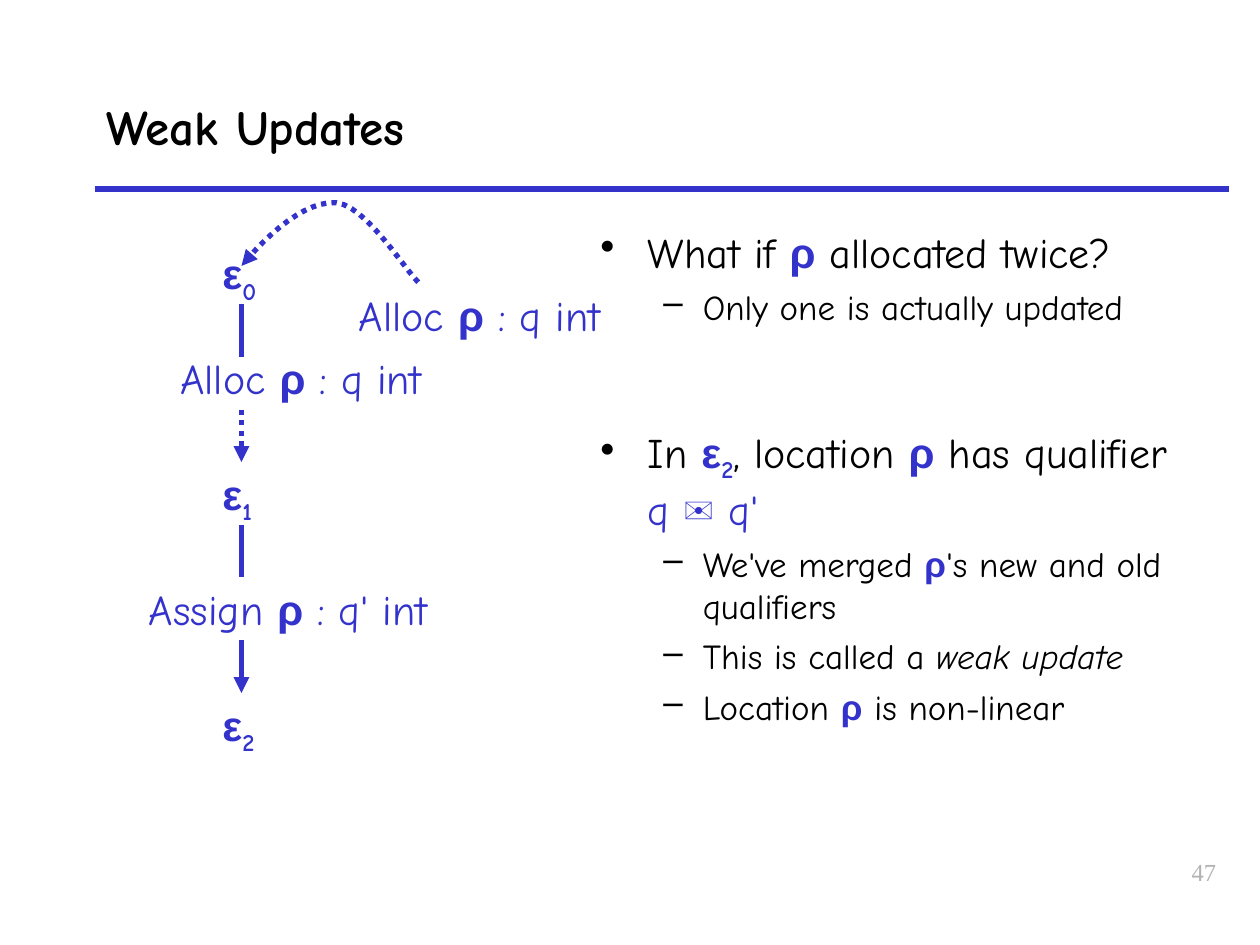
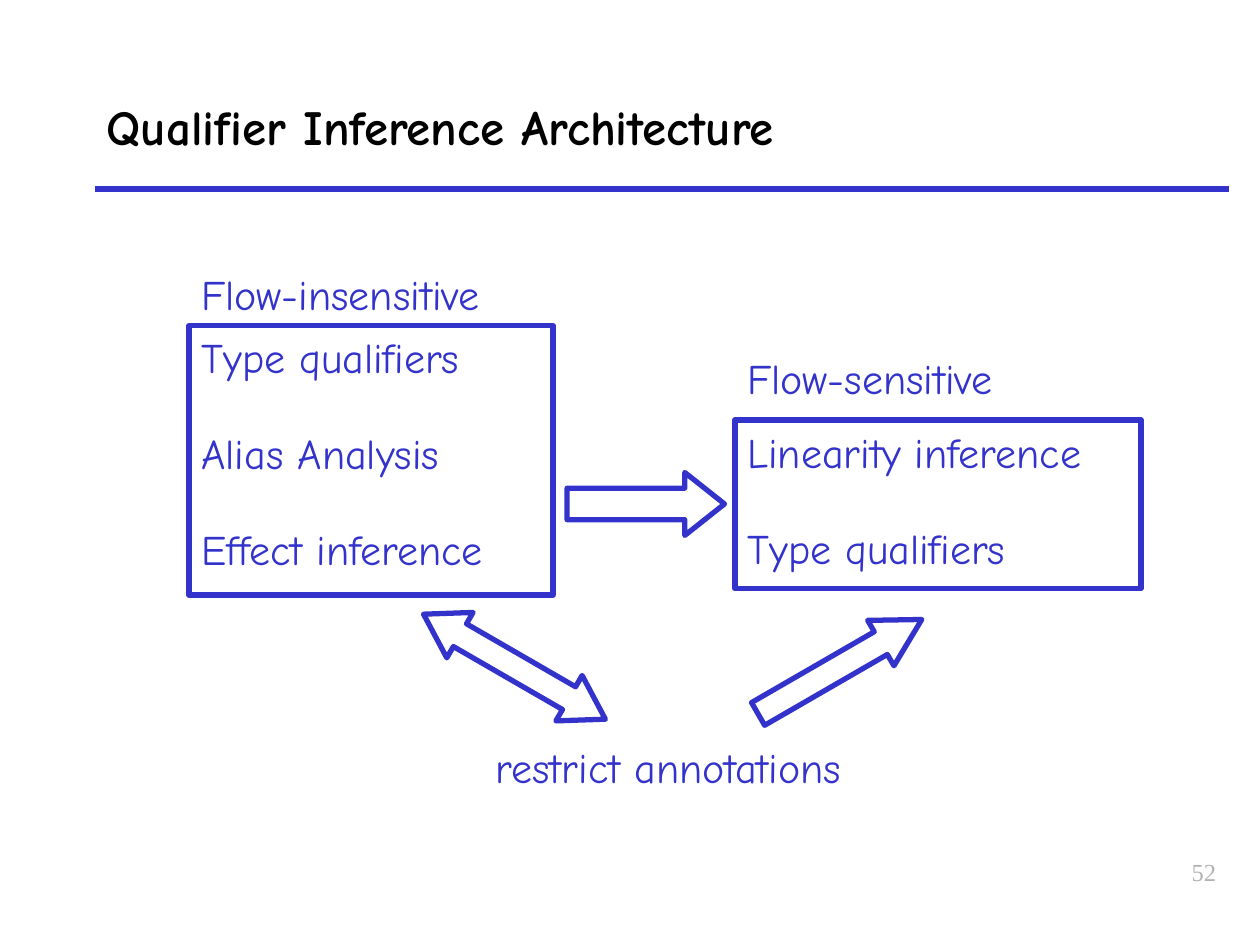
"""Build two slides on weak updates and qualifier inference."""
from dataclasses import dataclass
from typing import NamedTuple

from lxml.etree import SubElement
from pptx import Presentation
from pptx.dml.color import RGBColor
from pptx.enum.dml import MSO_LINE
from pptx.enum.shapes import MSO_CONNECTOR, MSO_SHAPE
from pptx.enum.text import MSO_ANCHOR, PP_ALIGN
from pptx.oxml.ns import qn
from pptx.slide import Slide
from pptx.text.text import TextFrame
from pptx.util import Pt

HUES = {"ink": "000000", "blue": "3333CC", "grey": "B2B2B2"}
SANS = "Comic Neue"
FORMS = {
    "ink": {"name": SANS, "bold": False},
    "slant": {"name": SANS, "bold": False, "italic": True},
    "head": {"name": SANS, "bold": True},
    "blue": {"name": SANS, "bold": False},
    "strong": {"name": SANS, "bold": True},
    "greek": {"name": "Arial", "bold": True},
    "sub": {"name": SANS, "bold": True},
    "page": {"name": "Times New Roman", "bold": False},
}
TINTS = {"ink": "ink", "slant": "ink", "head": "ink", "page": "grey"}
RHO = ("ρ", "greek")
LEFT, MID = PP_ALIGN.LEFT, 138


class Box(NamedTuple):
    """Hold left, top, width and height in points."""
    x: float
    y: float
    w: float
    h: float


@dataclass
class Para:
    """Hold the runs and layout of one paragraph."""
    runs: list[tuple[str, str]]
    size: float = 24
    gap: float = 0
    mark: str = ""
    align: PP_ALIGN = LEFT


@dataclass
class Link:
    """Hold a downward line of the state chain."""
    y: float
    dots: bool = False
    head: bool = False


@dataclass
class Block:
    """Hold an outlined preset shape."""
    kind: MSO_SHAPE
    box: Box
    turn: float = 0
    bend: tuple[float, ...] = ()
    items: tuple[str, ...] = ()


LISTS = {
    "•": {"marL": 27, "indent": -27, "lvl": 0},
    "–": {"marL": 58.5, "indent": -22.5, "lvl": 1},
}


def point(runs: list[tuple[str, str]]) -> Para:
    """Make a main bullet."""
    return Para(runs, mark="•")


def sub(runs: list[tuple[str, str]]) -> Para:
    """Make a lower bullet."""
    return Para(runs, 20, 4.8, "–")


def write(frame: TextFrame, paras: list[Para]) -> None:
    """Fill a text frame with formatted paragraphs."""
    frame.word_wrap = True
    for i, item in enumerate(paras):
        para = frame.add_paragraph() if i else frame.paragraphs[0]
        para.alignment = item.align
        para.space_before = Pt(item.gap)
        if item.mark:
            rule = LISTS[item.mark]
            para.level = rule["lvl"]
            props = para._p.get_or_add_pPr()
            for key in ("marL", "indent"):
                props.set(key, str(Pt(rule[key])))
            SubElement(props, qn("a:buChar")).set("char", item.mark)
        for words, form in item.runs:
            run = para.add_run()
            run.text = words
            for key, val in FORMS[form].items():
                setattr(run.font, key, val)
            run.font.size = Pt(item.size)
            hue = HUES[TINTS.get(form, "blue")]
            run.font.color.rgb = RGBColor.from_string(hue)
            if form == "sub":
                run._r.get_or_add_rPr().set("baseline", "-25000")


def label(slide: Slide, box: Box, paras: list[Para],
          anchor: MSO_ANCHOR = MSO_ANCHOR.TOP) -> None:
    """Add a text box."""
    frame = slide.shapes.add_textbox(*map(Pt, box)).text_frame
    frame.vertical_anchor = anchor
    write(frame, paras)


def stroke(shape, dots: bool = False, head: bool = False) -> None:
    """Set the blue line, with optional dots and arrowhead."""
    shape.line.color.rgb = RGBColor.from_string(HUES["blue"])
    shape.line.width = Pt(3)
    if dots:
        shape.line.dash_style = MSO_LINE.ROUND_DOT
    if head:
        line = shape.element.spPr.find(qn("a:ln"))
        SubElement(line, qn("a:tailEnd")).set("type", "triangle")


def join(slide: Slide, start: tuple[float, float], end: tuple[float, float],
         dots: bool = False, head: bool = False) -> None:
    """Add a straight line."""
    line = slide.shapes.add_connector(
        MSO_CONNECTOR.STRAIGHT, *map(Pt, start + end))
    stroke(line, dots, head)
    SubElement(line.element.spPr, qn("a:effectLst"))


def curve(slide: Slide, knots: list[tuple[float, float]]) -> None:
    """Draw a dotted arrow along joined cubic curves."""
    dots = []
    for i in range(0, len(knots) - 1, 3):
        for step in range(1, 13):
            t = step / 12
            s = 1 - t
            parts = (s ** 3, 3 * s * s * t, 3 * s * t * t, t ** 3)
            dots.append(tuple(
                Pt(sum(p * k[axis] for p, k in zip(parts, knots[i:i + 4])))
                for axis in (0, 1)))
    pen = slide.shapes.build_freeform(*map(Pt, knots[0]))
    pen.add_line_segments(dots, close=False)
    arc = pen.convert_to_shape()
    arc.shadow.inherit = False
    arc.fill.background()
    stroke(arc, True, True)


def draw(slide: Slide, block: Block) -> None:
    """Add an outlined shape with its items."""
    shape = slide.shapes.add_shape(block.kind, *map(Pt, block.box))
    shape.shadow.inherit = False
    shape.fill.background()
    stroke(shape)
    shape.rotation = block.turn
    for i, val in enumerate(block.bend):
        shape.adjustments[i] = val
    if block.items:
        shape.text_frame.vertical_anchor = MSO_ANCHOR.TOP
        write(shape.text_frame, [Para([(item, "blue")], gap=26 if i else 0)
                                 for i, item in enumerate(block.items)])


def start(deck, title: str, page: str) -> Slide:
    """Add a slide with the shared rule, title and page number."""
    slide = deck.slides.add_slide(deck.slide_layouts[6])
    join(slide, (54, 108), (702, 108))
    label(slide, Box(552, 486, 150, 36),
          [Para([(page, "page")], 14, align=PP_ALIGN.RIGHT)])
    label(slide, Box(54, 36, 648, 72), [Para([(title, "head")], 28)],
          MSO_ANCHOR.MIDDLE)
    return slide


def weak(deck) -> None:
    """Build the weak update slide."""
    slide = start(deck, "Weak Updates", "47")
    for i, y in enumerate((138, 264, 396)):
        label(slide, Box(120, y, 48, 36),
              [Para([("ε", "greek"), (str(i), "sub")])])
    for verb, tail, box in (
            ("Alloc ", " : q int", Box(96, 198, 174, 36)),
            ("Alloc ", " : q int", Box(198, 162, 180, 36)),
            ("Assign ", " : q' int", Box(78, 330, 192, 36))):
        label(slide, box, [Para([(verb, "blue"), RHO, (tail, "blue")])])
    for link in (Link(174), Link(234, True, True),
                 Link(300), Link(366, head=True)):
        join(slide, (MID, link.y), (MID, link.y + 30), link.dots, link.head)
    curve(slide, [(239, 161.3), (231, 153.4), (208.8, 117.4), (192.2, 115.9),
                  (175, 114.5), (153.4, 133.2), (MID, 152)])
    label(slide, Box(336, 126, 348, 78), [
        point([("What if ", "ink"), RHO, (" allocated twice?", "ink")]),
        sub([("Only one is actually updated", "ink")])])
    label(slide, Box(336, 240, 348, 168), [
        point([("In ", "ink"), ("ε", "greek"), ("2", "sub"),
               (", location ", "ink"), RHO, (" has qualifier ", "ink"),
               ("q ", "blue"), ("✉ ", "strong"), ("q'", "blue")]),
        sub([("We've merged ", "ink"), RHO,
             ("'s new and old qualifiers", "ink")]),
        sub([("This is called a ", "ink"), ("weak update", "slant")]),
        sub([("Location ", "ink"), RHO, (" is non-linear", "ink")])])


def infer(deck) -> None:
    """Build the inference slide."""
    slide = start(deck, "Qualifier Inference Architecture", "52")
    for words, box in (
            ("Flow-insensitive", Box(108, 150, 193, 36)),
            ("Flow-sensitive", Box(420, 198, 174, 36)),
            ("restrict annotations", Box(276, 420, 276, 36))):
        label(slide, box, [Para([(words, "blue")])])
    for block in (
            Block(MSO_SHAPE.RECTANGLE, Box(108, 186, 208, 154), items=(
                "Type qualifiers", "Alias Analysis", "Effect inference")),
            Block(MSO_SHAPE.RECTANGLE, Box(420, 240, 232, 96.5), items=(
                "Linearity inference", "Type qualifiers")),
            Block(MSO_SHAPE.RIGHT_ARROW, Box(324, 270, 90, 36),
                  bend=(0.5, 0.63)),
            Block(MSO_SHAPE.RIGHT_ARROW, Box(426, 366, 108, 30), 330,
                  (0.5, 0.9)),
            Block(MSO_SHAPE.LEFT_RIGHT_ARROW, Box(234, 366, 120, 30), 30,
                  (0.5, 0.8))):
        draw(slide, block)


def main() -> None:
    """Build and save the deck."""
    deck = Presentation()
    deck.slide_width, deck.slide_height = Pt(720), Pt(540)
    weak(deck)
    infer(deck)
    deck.save("out.pptx")


if __name__ == "__main__":
    main()
